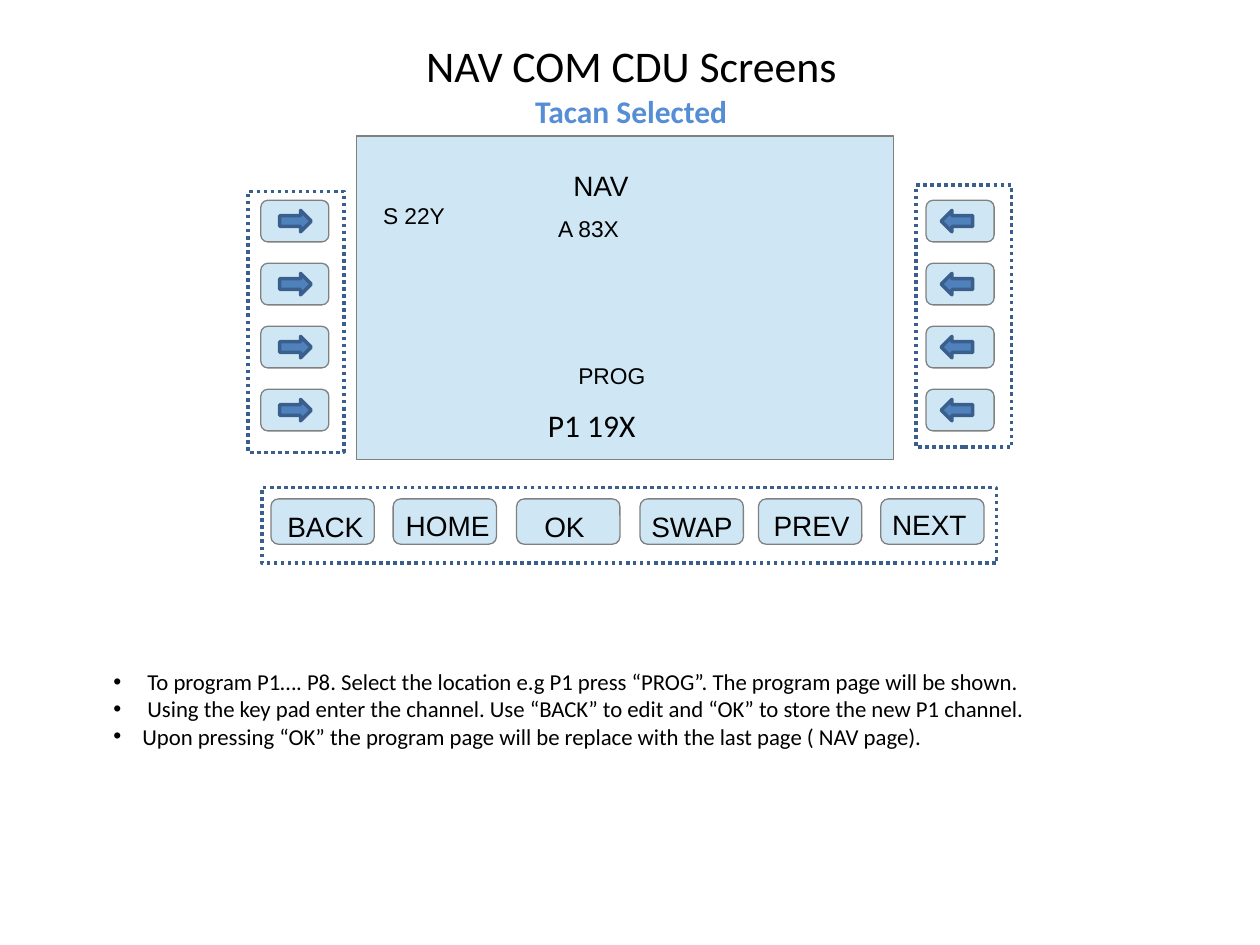
from dataclasses import dataclass

from lxml import etree
from pptx import Presentation
from pptx.dml.color import RGBColor
from pptx.enum.dml import MSO_LINE
from pptx.enum.shapes import MSO_SHAPE
from pptx.enum.text import MSO_ANCHOR, MSO_AUTO_SIZE, PP_ALIGN
from pptx.oxml.ns import qn
from pptx.util import Inches, Pt

RECT = MSO_SHAPE.RECTANGLE
ROUND = MSO_SHAPE.ROUNDED_RECTANGLE
RIGHT = MSO_SHAPE.RIGHT_ARROW
LEFT = MSO_SHAPE.LEFT_ARROW
DOTS = MSO_LINE.ROUND_DOT
TOP = MSO_ANCHOR.TOP
FIT = MSO_AUTO_SIZE.SHAPE_TO_FIT_TEXT
FIXED = MSO_AUTO_SIZE.NONE
CENTER = PP_ALIGN.CENTER


@dataclass(frozen=True)
class Theme:
    ink: str = "000000"
    accent: str = "558ED5"
    panel: str = "CFE7F5"
    edge: str = "808080"
    arrow: str = "4F81BD"
    frame: str = "3A5F8C"
    sans: str = "Arial"
    main: str = "Calibri"
    title: int = 25
    head: int = 18
    label: int = 16
    small: int = 13


class Deck:
    def __init__(self, theme):
        self.theme = theme
        self.prs = Presentation()
        self.prs.slide_width = Inches(10)
        self.prs.slide_height = Inches(7.5)
        self.slide = self.prs.slides.add_slide(self.prs.slide_layouts[1])

    def place(self, shape, box):
        shape.left, shape.top, shape.width, shape.height = map(Inches, box)

    def style(self, par, size, face, color, bold=False):
        for run in par.runs:
            run.font.size = Pt(size)
            run.font.name = face
            run.font.bold = bold
            run.font.color.rgb = RGBColor.from_string(color)

    def title(self, box, head, sub):
        t = self.theme
        shape = self.slide.shapes.title
        self.place(shape, box)
        frame = shape.text_frame
        frame.text = f"{head}\n{sub}"
        frame.auto_size = FIXED
        frame.vertical_anchor = TOP
        frame.margin_top = Inches(0.06)
        first, second = frame.paragraphs
        first.alignment = second.alignment = CENTER
        self.style(first, t.title, t.main, t.ink)
        self.style(second, t.head, t.main, t.accent, True)

    def bullets(self, box, items):
        t = self.theme
        shape = self.slide.placeholders[1]
        self.place(shape, box)
        frame = shape.text_frame
        frame.text = "\n".join(text for text, _ in items)
        frame.auto_size = FIXED
        frame.margin_left = frame.margin_right = Inches(0.09)
        for par, (_, indent) in zip(frame.paragraphs, items):
            par.space_before = Pt(0)
            props = par._p.get_or_add_pPr()
            props.set("marL", str(Inches(indent)))
            props.set("indent", str(-Inches(indent)))
            etree.SubElement(props, qn("a:buChar")).set("char", "•")
            self.style(par, t.small, t.main, t.ink)

    def shape(self, kind, box, fill, line, width=0):
        shape = self.slide.shapes.add_shape(kind, *map(Inches, box))
        shape.shadow.inherit = False
        if fill:
            shape.fill.solid()
            shape.fill.fore_color.rgb = RGBColor.from_string(fill)
        else:
            shape.fill.background()
        shape.line.color.rgb = RGBColor.from_string(line)
        shape.line.width = Pt(width)
        return shape

    def panel(self, kind, box):
        self.shape(kind, box, self.theme.panel, self.theme.edge)

    def frame(self, box):
        shape = self.shape(RECT, box, None, self.theme.frame, 2)
        shape.line.dash_style = DOTS

    def arrow(self, kind, box):
        self.shape(kind, box, self.theme.arrow, self.theme.frame, 2)

    def label(self, text, box, size, face, pad=0.09):
        shape = self.slide.shapes.add_textbox(*map(Inches, box))
        frame = shape.text_frame
        frame.text = text
        frame.word_wrap = False
        frame.auto_size = FIT
        frame.margin_left = frame.margin_right = Inches(pad)
        frame.margin_top = frame.margin_bottom = Inches(pad / 2)
        self.style(frame.paragraphs[0], size, face, self.theme.ink)


def main():
    theme = Theme()
    deck = Deck(theme)
    deck.title((0.51, 0.25, 9, 1.25), "NAV COM CDU Screens", "Tacan Selected")
    deck.panel(RECT, (2.83, 1.08, 4.26, 2.57))

    deck.label("NAV", (4.46, 1.29, 0.65, 0.35), theme.label, theme.sans)
    fields = [
        ("A 83X", 4.34, 1.66, 0.72),
        ("S 22Y", 2.95, 1.56, 0.7),
        ("PROG", 4.5, 2.83, 0.75),
    ]
    for text, x, y, width in fields:
        deck.label(text, (x, y, width, 0.3), theme.small, theme.sans)
    deck.label("P1 19X", (4.25, 3.17, 0.92, 0.4), theme.head, theme.main, 0.1)

    sides = [
        ((1.97, 1.52, 0.76, 2.07), 2.07, RIGHT, 2.22),
        ((7.27, 1.47, 0.76, 2.08), 7.35, LEFT, 7.47),
    ]
    for box, key_x, kind, tip_x in sides:
        deck.frame(box)
        for row in range(4):
            y = 1.59 + row * 0.5
            deck.panel(ROUND, (key_x, y, 0.54, 0.33))
            deck.arrow(kind, (tip_x, y + 0.08, 0.25, 0.17))

    deck.frame((2.08, 3.87, 5.83, 0.6))
    keys = [
        ("BACK", 2.15, 2.19, 4, 0.82),
        ("HOME", 3.12, 3.13, 3.99, 0.88),
        ("OK", 4.1, 4.23, 4, 0.56),
        ("SWAP", 5.08, 5.08, 4, 0.86),
        ("PREV", 6.02, 6.05, 3.99, 0.82),
        ("NEXT", 6.99, 6.99, 3.98, 0.81),
    ]
    for text, key_x, x, y, width in keys:
        deck.panel(ROUND, (key_x, 3.96, 0.82, 0.36))
        deck.label(text, (x, y, width, 0.35), theme.label, theme.sans)

    deck.bullets((0.81, 5.25, 7.77, 0.75), [
        ("To program P1…. P8. Select the location e.g P1 press “PROG”. "
         "The program page will be shown.", 0.27),
        ("Using the key pad enter the channel. Use “BACK” to edit and “OK” "
         "to store the new P1 channel.", 0.27),
        ("Upon pressing “OK” the program page will be replace with the "
         "last page ( NAV page).", 0.23),
    ])
    deck.prs.save("out.pptx")


if __name__ == "__main__":
    main()
